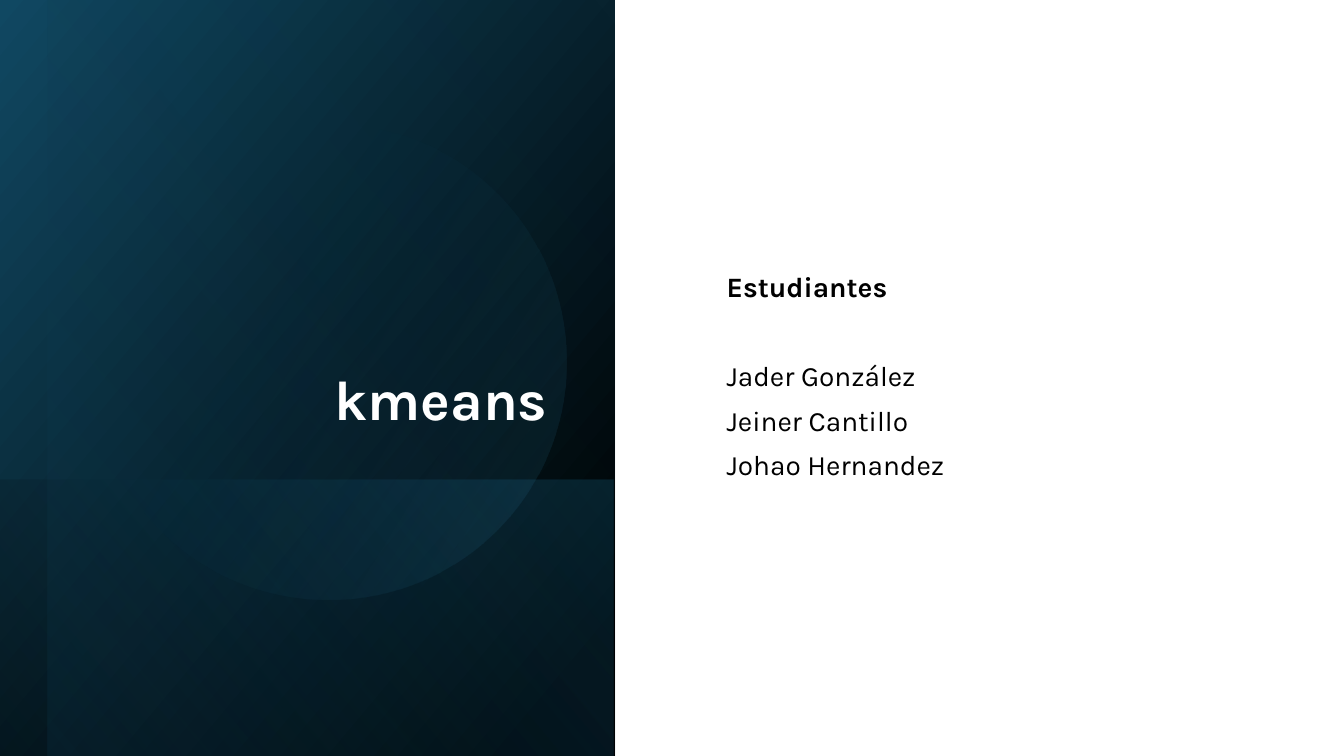
"""Build the kmeans cover slide with its dark gradient panel and list of students."""
from lxml import etree
from pptx import Presentation
from pptx.dml.color import RGBColor
from pptx.enum.shapes import MSO_SHAPE as Shape
from pptx.enum.text import MSO_ANCHOR as Anchor, MSO_AUTO_SIZE as AutoSize, PP_ALIGN as Align
from pptx.oxml.ns import qn
from pptx.util import Pt

COLORS = {
    "black": "000000",
    "white": "FFFFFF",
    "navy": "104862",
    "teal": "156082",
    "sky": "46B1E1",
}
FONT = "Karla"
STUDENTS = ["Jader González", "Jeiner Cantillo", "Johao Hernandez"]


def place(item, left, top, width, height):
    item.left, item.top, item.width, item.height = map(Pt, (left, top, width, height))


def set_gradient(shape, stops, angle):
    shape.fill.gradient()
    gradient = shape.element.spPr.find(qn("a:gradFill"))
    gradient.set("rotWithShape", "1")
    for child in list(gradient):
        gradient.remove(child)
    stop_list = etree.SubElement(gradient, qn("a:gsLst"))
    for position, color, opacity in stops:
        stop = etree.SubElement(stop_list, qn("a:gs"), pos=str(position * 1000))
        tone = etree.SubElement(stop, qn("a:srgbClr"), val=COLORS[color])
        if opacity < 100:
            etree.SubElement(tone, qn("a:alpha"), val=str(opacity * 1000))
    etree.SubElement(gradient, qn("a:lin"), ang=str(angle * 60000), scaled="0")


def add_gradient_shape(page, kind, frame, rotation, stops, angle, flipped=False):
    shape = page.shapes.add_shape(kind, *map(Pt, frame))
    shape.rotation = rotation
    shape.shadow.inherit = False
    shape.line.fill.background()
    if flipped:
        shape.element.spPr.find(qn("a:xfrm")).set("flipH", "1")
    set_gradient(shape, stops, angle)


def add_panel(page, frame, stops, angle):
    add_gradient_shape(page, Shape.RECTANGLE, frame, 90, stops, angle, flipped=True)


def prepare_frame(box, anchor):
    frame = box.text_frame
    frame.word_wrap = True
    frame.auto_size = AutoSize.NONE
    frame.vertical_anchor = anchor
    return frame


def write(para, text, size, color, bold=False, align=Align.LEFT, before=0):
    para.alignment = align
    para.line_spacing = 0.9
    para.space_before = Pt(before)
    span = para.add_run()
    span.text = text
    span.font.name = FONT
    span.font.size = Pt(size)
    span.font.bold = bold
    span.font.color.rgb = RGBColor.from_string(COLORS[color])


def add_title(page, text):
    title = page.shapes.title
    place(title, 64.8, 46.1, 333.4, 266.4)
    frame = prepare_frame(title, Anchor.BOTTOM)
    write(frame.paragraphs[0], text, 40, "white", bold=True, align=Align.RIGHT)
    title.element.getparent().append(title.element)


def add_students(page, heading, names):
    box = page.shapes.add_textbox(*map(Pt, (511.9, 51.1, 383, 437)))
    frame = prepare_frame(box, Anchor.MIDDLE)
    write(frame.paragraphs[0], heading, 20, "black", bold=True, before=10)
    for index, name in enumerate(names):
        write(frame.add_paragraph(), name, 20, "black", before=10 if index else 42)


def main():
    deck = Presentation()
    deck.slide_width, deck.slide_height = Pt(960), Pt(540)
    page = deck.slides.add_slide(deck.slide_layouts[5])
    add_panel(page, (-50.4, 50.4, 540, 439.2),
              [(8, "black", 100), (100, "navy", 100)], 50)
    add_panel(page, (120.2, 221.8, 197.3, 439.2),
              [(2, "teal", 29), (100, "black", 30)], 130)
    add_panel(page, (-33.1, 67, 540, 405.4),
              [(0, "black", 0), (99, "teal", 11)], 130)
    add_gradient_shape(page, Shape.OVAL, (64.8, 88.6, 339.8, 339.8), 101.6,
                       [(39, "teal", 0), (100, "sky", 15)], 290)
    add_title(page, "kmeans")
    add_students(page, "Estudiantes", STUDENTS)
    deck.save("out.pptx")


if __name__ == "__main__":
    main()
